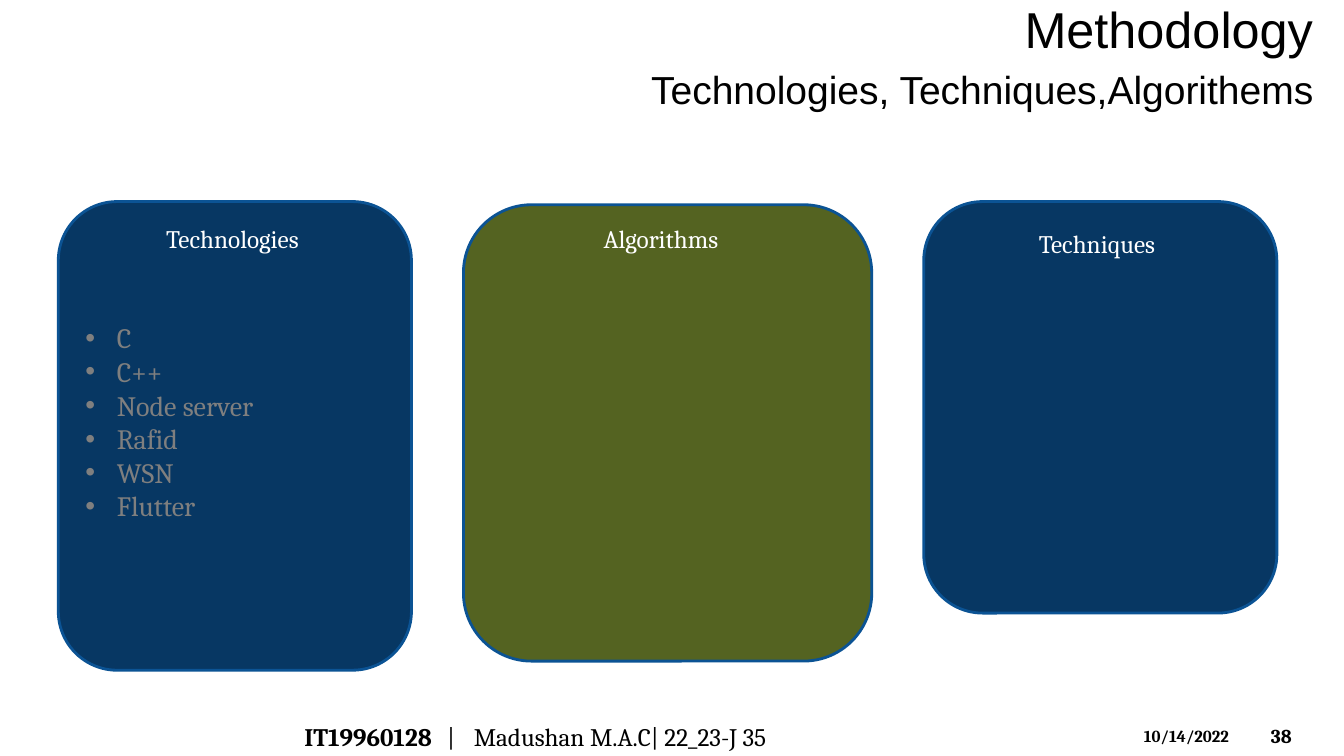
from lxml import etree
from pptx import Presentation
from pptx.dml.color import RGBColor
from pptx.enum.shapes import MSO_SHAPE
from pptx.enum.text import MSO_ANCHOR, MSO_AUTO_SIZE, PP_ALIGN
from pptx.oxml.ns import qn
from pptx.util import Cm, Pt

ROUNDED = MSO_SHAPE.ROUNDED_RECTANGLE
MIDDLE, TOP = MSO_ANCHOR.MIDDLE, MSO_ANCHOR.TOP
LEFT, CENTER = PP_ALIGN.LEFT, PP_ALIGN.CENTER
NO_AUTOFIT = MSO_AUTO_SIZE.NONE

COLORS = {
    "black": "000000",
    "white": "FFFFFF",
    "navy": "073763",
    "olive": "546321",
    "outline": "0B5394",
    "grey": "7F7F7F",
}
CARDS = [
    ("navy", (1.47, 5.08, 8.9, 11.81)),
    ("navy", (23.28, 5.08, 8.9, 10.37)),
    ("olive", (11.68, 5.16, 10.29, 11.5)),
]
HEADINGS = [
    ("Algorithms", (14.96, 5.51, 3.56, 1.02)),
    ("Technologies", (3.94, 5.51, 4.22, 1.02)),
    ("Techniques", (25.93, 5.64, 3.61, 1.02)),
]
TECHNOLOGIES = ["C", "C++", "Node server", "Rafid", "WSN", "Flutter"]


def rgb(name):
    return RGBColor.from_string(COLORS[name])


def style(para, size, color="black", face="Cambria", bold=False, align=LEFT):
    para.alignment = align
    para.font.name = face
    para.font.size = Pt(size)
    para.font.bold = bold
    para.font.color.rgb = rgb(color)


def add_text(page, place, text, size, anchor=TOP, **look):
    frame = page.shapes.add_textbox(*map(Cm, place)).text_frame
    frame.word_wrap = True
    frame.vertical_anchor = anchor
    para = frame.paragraphs[0]
    para.text = text
    style(para, size, **look)


def add_card(page, fill, place):
    card = page.shapes.add_shape(ROUNDED, *map(Cm, place))
    card.shadow.inherit = False
    card.fill.solid()
    card.fill.fore_color.rgb = rgb(fill)
    card.line.color.rgb = rgb("outline")
    card.line.width = Pt(2)
    return card


def add_bullet(para):
    props = para._p.get_or_add_pPr()
    props.set("marL", str(Cm(0.79)))
    props.set("indent", str(Cm(-0.79)))
    etree.SubElement(props, qn("a:buFont")).set("typeface", "Arial")
    etree.SubElement(props, qn("a:buChar")).set("char", "•")


def fill_list(card, items):
    frame = card.text_frame
    frame.word_wrap = True
    frame.vertical_anchor = MIDDLE
    frame.margin_bottom = Cm(0.84)
    for index, item in enumerate(items):
        para = frame.add_paragraph() if index else frame.paragraphs[0]
        para.text = item
        add_bullet(para)
        style(para, 20, "grey")


def set_title(page, place, text):
    title = page.shapes.title
    title.left, title.top, title.width, title.height = map(Cm, place)
    frame = title.text_frame
    frame.auto_size = NO_AUTOFIT
    frame.vertical_anchor = MIDDLE
    frame.text = text
    style(frame.paragraphs[0], 36, face="Arial", align=CENTER)


def add_author_line(page):
    frame = page.shapes.add_textbox(Cm(7.42), Cm(18.06), Cm(18.92), Cm(1.02)).text_frame
    frame.word_wrap = True
    frame.vertical_anchor = MIDDLE
    para = frame.paragraphs[0]
    stops = etree.SubElement(para._p.get_or_add_pPr(), qn("a:tabLst"))
    for position in (3.6, 4.27):
        stop = etree.SubElement(stops, qn("a:tab"))
        stop.set("pos", str(Cm(position)))
        stop.set("algn", "l")
    style(para, 18)
    for text, bold in (("IT19960128", True), ("\t|\tMadushan M.A.C| 22_23-J 35", False)):
        span = para.add_run()
        span.text = text
        span.font.bold = bold


def main():
    deck = Presentation()
    deck.slide_width, deck.slide_height = Cm(33.87), Cm(19.05)
    page = deck.slides.add_slide(deck.slide_layouts[5])

    set_title(page, (24.77, -0.28, 9.37, 2.01), "Methodology")
    add_text(page, (16.08, 1.24, 17.35, 2.01), "Technologies, Techniques,Algorithems",
             27.9, MIDDLE, face="Arial", align=CENTER)

    cards = [add_card(page, fill, place) for fill, place in CARDS]
    fill_list(cards[0], TECHNOLOGIES)
    for text, place in HEADINGS:
        add_text(page, place, text, 18, color="white")

    add_author_line(page)
    add_text(page, (28.58, 18.16, 2.97, 0.76), "10/14/2022", 12, bold=True)
    add_text(page, (31.78, 18.03, 1.88, 1.02), "38", 14, MIDDLE, bold=True)

    deck.save("out.pptx")


if __name__ == "__main__":
    main()
